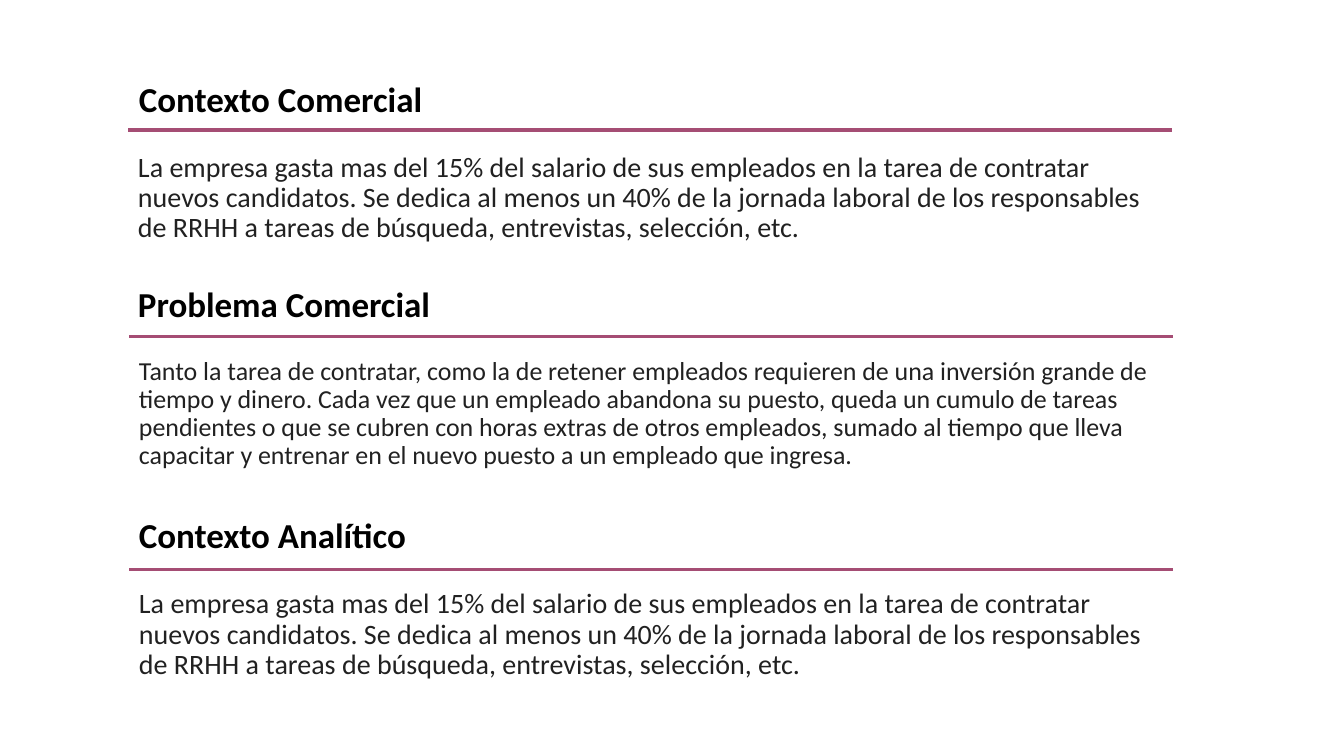
"""Build a slide with three titled and ruled blocks of text."""
from dataclasses import dataclass

from lxml.etree import SubElement
from pptx import Presentation
from pptx.dml.color import RGBColor
from pptx.enum.shapes import MSO_CONNECTOR
from pptx.enum.text import MSO_ANCHOR
from pptx.oxml.ns import qn
from pptx.util import Inches, Pt

LEFT, WIDTH = 1.28, 10.35
HIRING = (
    "La empresa gasta mas del 15% del salario de sus empleados en la tarea de "
    "contratar nuevos candidatos. Se dedica al menos un 40% de la jornada laboral "
    "de los responsables de RRHH a tareas de búsqueda, entrevistas, selección, etc."
)
TURNOVER = (
    "Tanto la tarea de contratar, como la de retener empleados requieren de una "
    "inversión grande de tiempo y dinero. Cada vez que un empleado abandona su "
    "puesto, queda un cumulo de tareas pendientes o que se cubren con horas extras "
    "de otros empleados, sumado al tiempo que lleva capacitar y entrenar en el "
    "nuevo puesto a un empleado que ingresa."
)


@dataclass(frozen=True)
class Box:
    """Place of a text box, in inches."""
    top: float
    high: float
    left: float = LEFT
    wide: float = WIDTH


@dataclass(frozen=True)
class Font:
    """Look of a text."""
    size: float
    tint: str
    bold: bool = False
    gap: float = 0


@dataclass(frozen=True)
class Block:
    """A title, the rule below it and its text."""
    title: str
    head: Box
    rule: float
    text: str
    body: Box
    size: float = 20
    left: float = LEFT


HEAD = Font(25, "000000", bold=True)
BLOCKS = (
    Block("Contexto Comercial", Box(0.7, 0.61), 1.29,
          HIRING, Box(1.47, 1.18, 1.27), left=1.27),
    Block("Problema Comercial", Box(2.57, 0.93, 1.27, 10.37), 3.34,
          TURNOVER, Box(3.5, 1.3), size=18.5),
    Block("Contexto Analítico", Box(4.86, 0.93, wide=11.07), 5.65,
          HIRING, Box(5.8, 1.3)),
)


def color(code: str) -> RGBColor:
    """Turn a hex string into a colour."""
    return RGBColor.from_string(code)


def write(slide, box: Box, text: str, font: Font, anchor: MSO_ANCHOR) -> None:
    """Add a wrapped text box."""
    shape = slide.shapes.add_textbox(
        Inches(box.left), Inches(box.top), Inches(box.wide), Inches(box.high))
    frame = shape.text_frame
    frame.word_wrap = True
    frame.vertical_anchor = anchor
    para = frame.paragraphs[0]
    para.line_spacing = 0.9
    para.space_before = Pt(font.gap)
    run = para.add_run()
    run.text = text
    run.font.name = "Calibri"
    run.font.size = Pt(font.size)
    run.font.bold = font.bold
    run.font.color.rgb = color(font.tint)


def rule(slide, left: float, top: float) -> None:
    """Draw a level line below a title."""
    line = slide.shapes.add_connector(
        MSO_CONNECTOR.STRAIGHT, Inches(left), Inches(top),
        Inches(left + WIDTH), Inches(top))
    line.line.color.rgb = color("A54D74")
    line.line.width = Pt(2.25)
    SubElement(line.element.spPr, qn("a:effectLst"))


def draw(slide, block: Block) -> None:
    """Draw one block."""
    body = Font(block.size, "212121", gap=12)
    write(slide, block.body, block.text, body, MSO_ANCHOR.TOP)
    write(slide, block.head, block.title, HEAD, MSO_ANCHOR.MIDDLE)
    rule(slide, block.left, block.rule)


def main() -> None:
    """Build and save the deck."""
    deck = Presentation()
    deck.slide_width, deck.slide_height = Inches(13.33), Inches(7.5)
    slide = deck.slides.add_slide(deck.slide_layouts[6])
    for block in BLOCKS:
        draw(slide, block)
    deck.save("out.pptx")


main()
